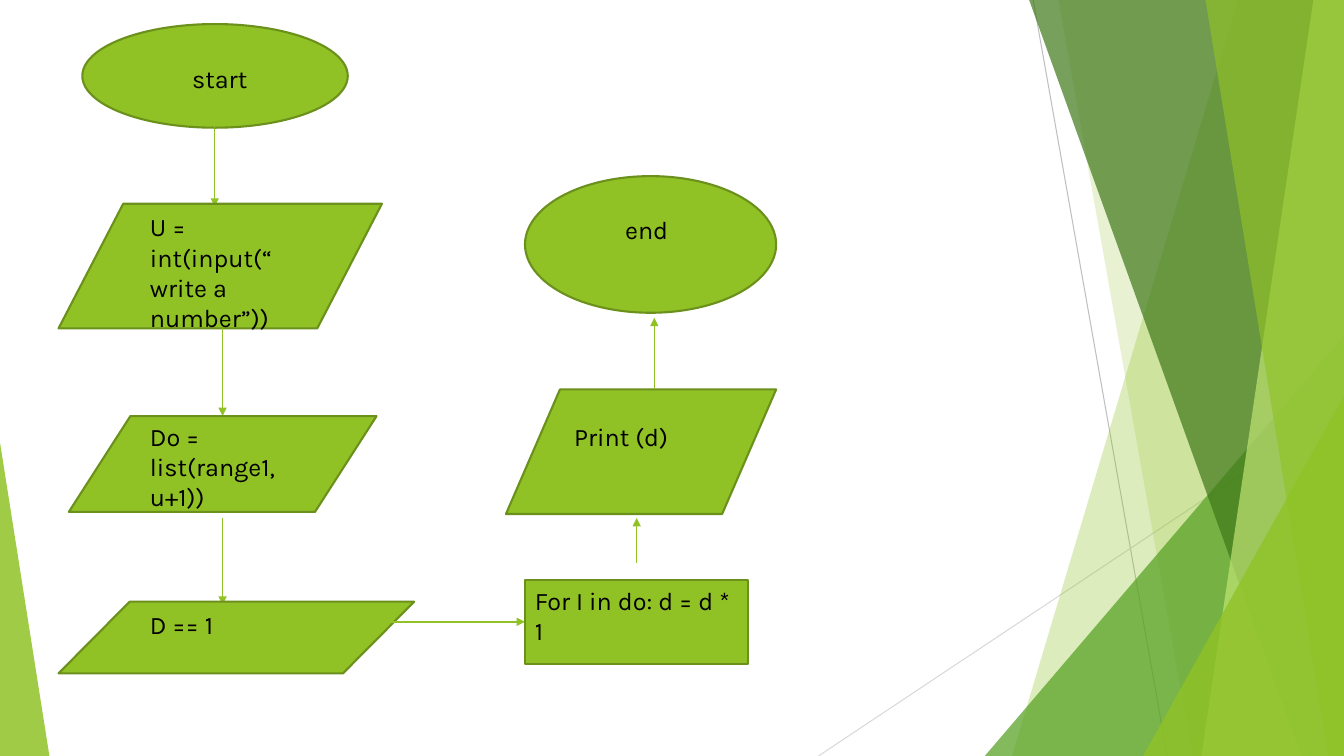
from dataclasses import dataclass
from typing import Optional, Union

from lxml import etree
from pptx import Presentation
from pptx.dml.color import RGBColor
from pptx.enum.shapes import MSO_CONNECTOR, MSO_SHAPE
from pptx.enum.text import MSO_AUTO_SIZE, PP_ALIGN
from pptx.oxml.ns import qn
from pptx.util import Pt

STRAIGHT = MSO_CONNECTOR.STRAIGHT
TRIANGLE = MSO_SHAPE.ISOSCELES_TRIANGLE
OVAL = MSO_SHAPE.OVAL
DATA = MSO_SHAPE.FLOWCHART_DATA
RECTANGLE = MSO_SHAPE.RECTANGLE
LEFT, CENTER = PP_ALIGN.LEFT, PP_ALIGN.CENTER
FIT_TEXT = MSO_AUTO_SIZE.SHAPE_TO_FIT_TEXT

COLORS = {
    "lime": "90C226", "pale": "C0E474", "green": "54A021", "dark": "3F7819",
    "outline": "6B901C", "text": "000000", "gray": "BFBFBF", "silver": "D9D9D9",
}
FONT = "Karla"
PAGE_WIDTH, PAGE_HEIGHT = 960, 540
LEFT_SIDE = 1

Box = tuple[float, float, float, float]


@dataclass
class Band:
    """Four-sided strip reaching the right edge of the page."""
    top_x: float
    bottom_x: float
    color: str
    opacity: int


@dataclass
class Wedge:
    """Right-angled triangle standing on the bottom edge."""
    left: float
    top: float
    width: float
    apex: float
    color: str
    opacity: int


@dataclass
class Arrow:
    start: tuple[float, float]
    end: tuple[float, float]
    joined: bool = False


@dataclass
class Step:
    kind: int
    box: Box
    text: str
    text_box: Box
    align: int = LEFT
    arrow_in: Optional[Arrow] = None


THIN_LINES = [
    ((738, 0), (833.76, 540), "gray"),
    ((960, 290.16), (584.64, 540), "silver"),
]
DECORATION: list[Union[Band, Wedge]] = [
    Band(884.16, 722.88, "lime", 30),
    Band(756, 851.76, "lime", 20),
    Wedge(703.44, 239.76, 256.56, 1, "green", 72),
    Band(735.12, 929.52, "dark", 70),
    Band(938.16, 858.24, "pale", 70),
    Band(861.12, 948.96, "lime", 65),
    Wedge(816.48, 282.96, 143.52, 1, "lime", 80),
    Wedge(0, 316.08, 35.28, 0, "lime", 85),
]
STEPS = [
    Step(OVAL, (58.8, 17.2, 189.6, 74), "start", (100, 41.8, 114, 29), CENTER),
    Step(DATA, (41.8, 145.6, 231, 89), "U = int(input(“write a number”))",
         (100, 147.6, 114, 94.5), arrow_in=Arrow((153.4, 91), (153.4, 147.6))),
    Step(DATA, (49.2, 297.2, 219.8, 68.4), "Do = list(range1,u+1))",
         (100, 297.2, 114, 72.7), arrow_in=Arrow((159, 234.6), (159, 297.2))),
    Step(DATA, (41.8, 429.8, 254, 51.2), "D == 1",
         (100, 432, 134.6, 29), arrow_in=Arrow((159, 370), (159, 432))),
    Step(RECTANGLE, (375, 414.2, 159.4, 60), "For I in do: d = d * 1",
         (375, 414.2, 159.4, 51),
         arrow_in=Arrow((278, 444.2), (375, 444.2), joined=True)),
    Step(DATA, (361.4, 278.2, 193, 89), "Print (d)",
         (403, 297.2, 108.7, 29), arrow_in=Arrow((454.8, 402), (454.8, 370))),
    Step(OVAL, (375, 125.8, 179.4, 97.6), "end", (412.6, 149.8, 98.6, 29), CENTER,
         Arrow((467.4, 278.2), (467.4, 227))),
]


def rgb(name: str) -> RGBColor:
    return RGBColor.from_string(COLORS[name])


def add_line(page, start, end, color: str, width: float):
    line = page.shapes.add_connector(STRAIGHT, *(Pt(value) for value in (*start, *end)))
    line.line.color.rgb = rgb(color)
    line.line.width = Pt(width)
    etree.SubElement(line._element.spPr, qn("a:effectLst"))
    return line


def add_arrow(page, arrow: Arrow):
    line = add_line(page, arrow.start, arrow.end, "lime", 1)
    tail = etree.SubElement(line.line._get_or_add_ln(), qn("a:tailEnd"))
    tail.set("type", "triangle")
    return line


def fill_shape(shape, color: str) -> None:
    shape.shadow.inherit = False
    shape.fill.solid()
    shape.fill.fore_color.rgb = rgb(color)


def add_decoration(page, item: Union[Band, Wedge]) -> None:
    if isinstance(item, Band):
        builder = page.shapes.build_freeform(Pt(item.top_x), 0, scale=1.0)
        corners = [(PAGE_WIDTH, 0), (PAGE_WIDTH, PAGE_HEIGHT), (item.bottom_x, PAGE_HEIGHT)]
        builder.add_line_segments([(Pt(x), Pt(y)) for x, y in corners], close=True)
        shape = builder.convert_to_shape()
    else:
        shape = page.shapes.add_shape(TRIANGLE, Pt(item.left), Pt(item.top),
                                      Pt(item.width), Pt(PAGE_HEIGHT - item.top))
        shape.adjustments[0] = item.apex
    fill_shape(shape, item.color)
    shape.line.fill.background()
    color = shape._element.spPr.find(qn("a:solidFill")).find(qn("a:srgbClr"))
    etree.SubElement(color, qn("a:alpha")).set("val", str(item.opacity * 1000))


def add_label(page, step: Step) -> None:
    frame = page.shapes.add_textbox(*(Pt(value) for value in step.text_box)).text_frame
    frame.word_wrap = True
    frame.auto_size = FIT_TEXT
    para = frame.paragraphs[0]
    para.text = step.text
    para.alignment = step.align
    para.font.name = FONT
    para.font.size = Pt(18)
    para.font.color.rgb = rgb("text")


def add_step(page, step: Step) -> None:
    # The arrow lies behind the shape that it leads to
    line = add_arrow(page, step.arrow_in) if step.arrow_in else None
    shape = page.shapes.add_shape(step.kind, *(Pt(value) for value in step.box))
    fill_shape(shape, "lime")
    shape.line.color.rgb = rgb("outline")
    shape.line.width = Pt(1.5)
    if line is not None and step.arrow_in.joined:
        line.end_connect(shape, LEFT_SIDE)
    add_label(page, step)


def main() -> None:
    deck = Presentation()
    deck.slide_width, deck.slide_height = Pt(PAGE_WIDTH), Pt(PAGE_HEIGHT)
    page = deck.slides.add_slide(deck.slide_layouts[6])

    # Background decoration
    for start, end, color in THIN_LINES:
        add_line(page, start, end, color, 0.75)
    for item in DECORATION:
        add_decoration(page, item)

    # Flowchart
    for step in STEPS:
        add_step(page, step)

    deck.save("out.pptx")


if __name__ == "__main__":
    main()
